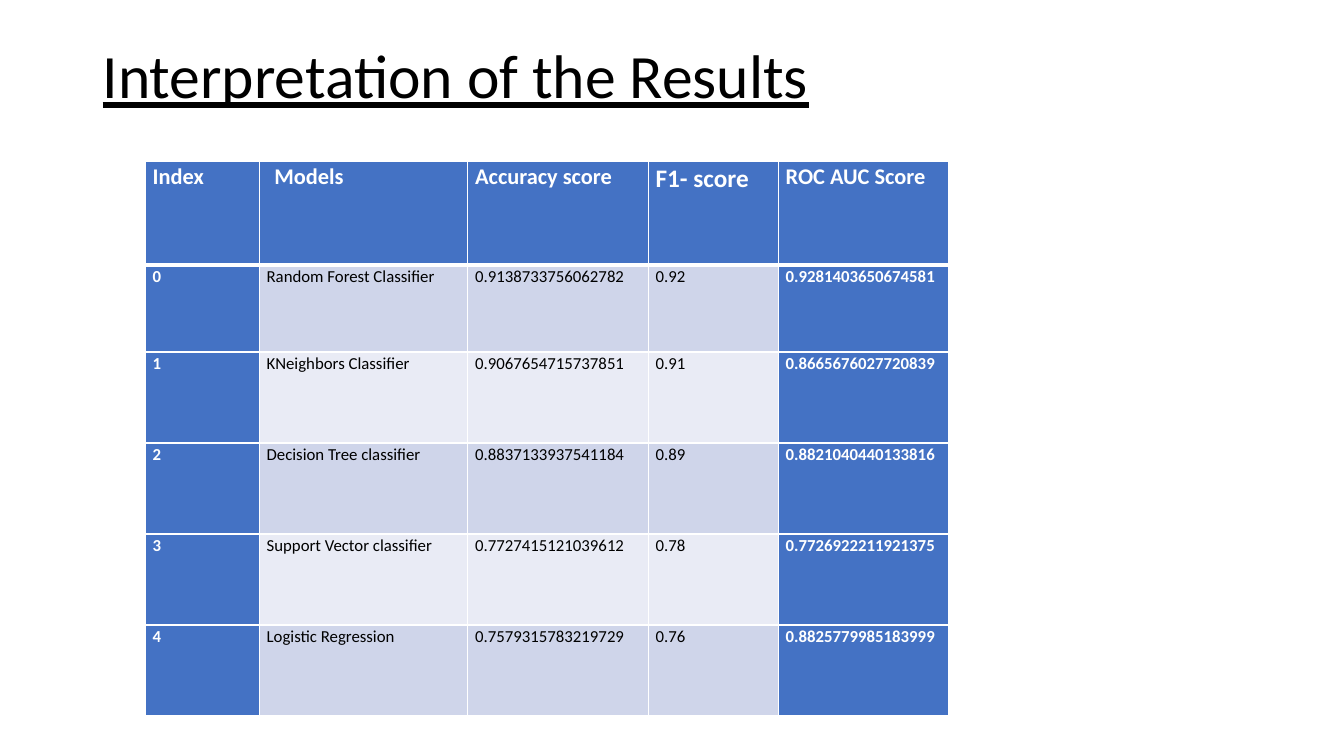
from dataclasses import dataclass

from lxml import etree
from pptx import Presentation
from pptx import util as u
from pptx.dml import color
from pptx.enum import text
from pptx.oxml import ns

Pt = u.Pt


@dataclass(frozen=True)
class Theme:
    font: str = "Calibri"
    ink: str = "000000"
    white: str = "FFFFFF"
    blue: str = "4472C4"
    dark: str = "CFD5EA"
    light: str = "E9EBF5"
    title: int = 44
    head: int = 16
    large: int = 18
    body: int = 12
    inset: float = 5.4
    thin: int = 1
    thick: int = 3


THEME = Theme()
HEADS = ["Index", "Models", "Accuracy score", "F1- score", "ROC AUC Score"]
SCORES = [
    ["0", "Random Forest Classifier", "0.9138733756062782", "0.92", "0.9281403650674581"],
    ["1", "KNeighbors Classifier", "0.9067654715737851", "0.91", "0.8665676027720839"],
    ["2", "Decision Tree classifier", "0.8837133937541184", "0.89", "0.8821040440133816"],
    ["3", "Support Vector classifier", "0.7727415121039612", "0.78", "0.7726922211921375"],
    ["4", "Logistic Regression", "0.7579315783219729", "0.76", "0.8825779985183999"],
]
WIDTHS = [81.4, 149, 128.9, 92.9, 121.7]
HEIGHTS = [74, 62] + [65] * 4


def add_run(para, words, size, tint, bold=False, under=False):
    run = para.add_run()
    run.text = words
    font = run.font
    font.name, font.size = THEME.font, Pt(size)
    font.bold, font.underline = bold, under
    font.color.rgb = color.RGBColor.from_string(tint)


def add_title(slide, words):
    box = slide.shapes.add_textbox(Pt(66.2), Pt(28.8), Pt(828), Pt(104.4))
    frame = box.text_frame
    frame.word_wrap = True
    frame.vertical_anchor = text.MSO_ANCHOR.TOP
    para = frame.paragraphs[0]
    para.line_spacing = 0.9
    add_run(para, words, THEME.title, THEME.ink, under=True)


def add_edge(cell, side, width):
    line = etree.SubElement(cell._tc.get_or_add_tcPr(), ns.qn(f"a:ln{side}"), w=str(Pt(width)))
    fill = etree.SubElement(line, ns.qn("a:solidFill"))
    etree.SubElement(fill, ns.qn("a:srgbClr"), val=THEME.white)


def fill_cell(cell, words, row, col):
    head = row == 0
    strong = head or col in (0, len(HEADS) - 1)
    back = THEME.blue if strong else THEME.dark if row % 2 else THEME.light
    size = THEME.body
    if head:
        size = THEME.large if words == "F1- score" else THEME.head

    cell.margin_left = cell.margin_right = Pt(THEME.inset)
    cell.margin_top = cell.margin_bottom = 0
    cell.vertical_anchor = text.MSO_ANCHOR.TOP
    for side in "LRTB":
        thick = (row, side) in ((0, "B"), (1, "T"))
        add_edge(cell, side, THEME.thick if thick else THEME.thin)
    cell.fill.solid()
    cell.fill.fore_color.rgb = color.RGBColor.from_string(back)

    para = cell.text_frame.paragraphs[0]
    para.line_spacing, para.space_after = 1.07, Pt(8)
    if head and col == 1:
        para._p.get_or_add_pPr().set("marL", str(Pt(5.5)))
    add_run(para, words, size, THEME.white if strong else THEME.ink, strong)


def add_grid(slide, data):
    frame = slide.shapes.add_table(
        len(data), len(WIDTHS), Pt(103.7), Pt(115.5), Pt(sum(WIDTHS)), Pt(sum(HEIGHTS)))
    table = frame.table
    table.horz_banding = False
    for col, width in zip(table.columns, WIDTHS):
        col.width = Pt(width)
    for row, height in zip(table.rows, HEIGHTS):
        row.height = Pt(height)
    for row, line in enumerate(data):
        for col, words in enumerate(line):
            fill_cell(table.cell(row, col), words, row, col)


def main():
    deck = Presentation()
    deck.slide_width, deck.slide_height = Pt(960), Pt(540)
    slide = deck.slides.add_slide(deck.slide_layouts[6])
    add_title(slide, "Interpretation of the Results")
    add_grid(slide, [HEADS] + SCORES)
    deck.save("out.pptx")


if __name__ == "__main__":
    main()
